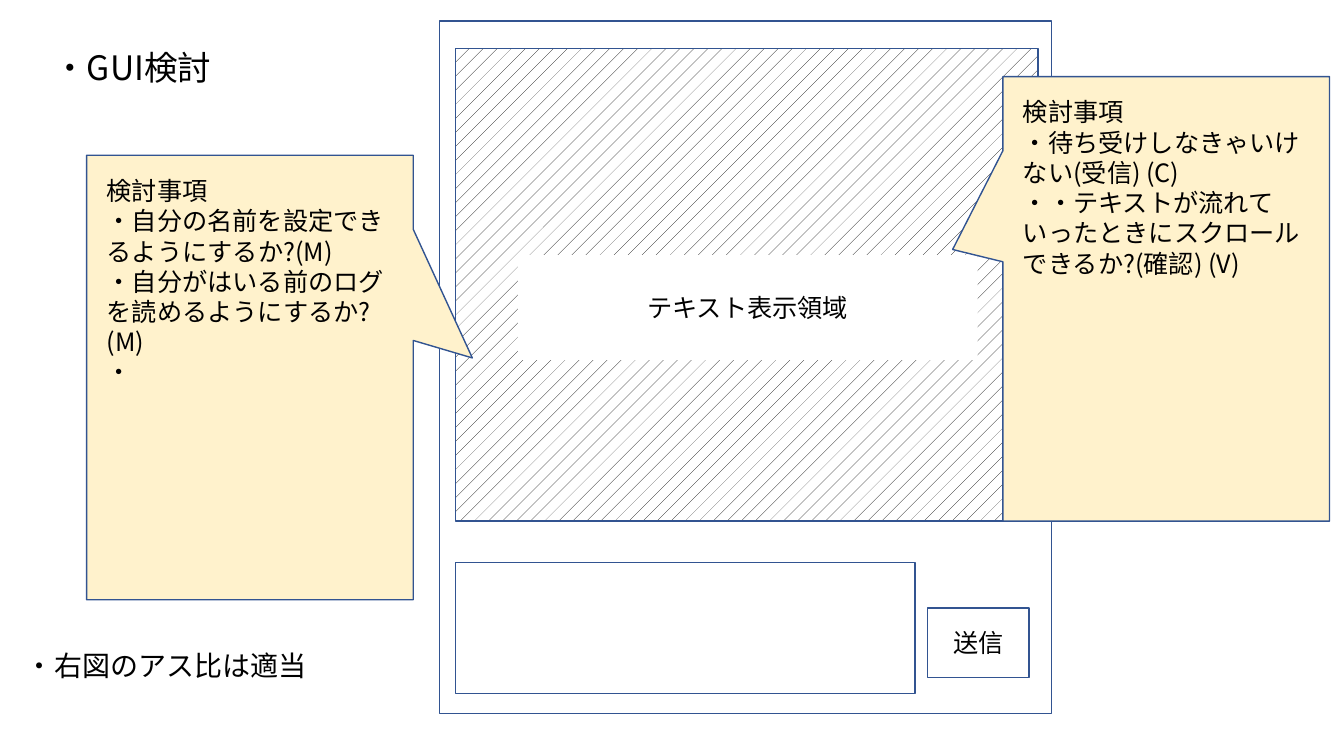
from lxml import etree
from pptx import Presentation
from pptx.dml.color import RGBColor
from pptx.enum.dml import MSO_PATTERN
from pptx.enum.shapes import MSO_SHAPE
from pptx.enum.text import MSO_ANCHOR, MSO_AUTO_SIZE, PP_ALIGN
from pptx.oxml.ns import qn
from pptx.util import Pt

BLACK = RGBColor(0x00, 0x00, 0x00)
WHITE = RGBColor(0xFF, 0xFF, 0xFF)
CREAM = RGBColor(0xFF, 0xF2, 0xCC)
BLUE = RGBColor(0x32, 0x54, 0x91)
RECT = MSO_SHAPE.RECTANGLE
CALLOUT = MSO_SHAPE.RECTANGULAR_CALLOUT
DOTS = MSO_PATTERN.PERCENT_5
MIDDLE = MSO_ANCHOR.MIDDLE
CENTER = PP_ALIGN.CENTER
GROW = MSO_AUTO_SIZE.SHAPE_TO_FIT_TEXT
FONT = "Noto Sans CJK JP"


def write(tf, lines, size, align=None):
    """Fill a text frame with one paragraph per line."""
    tf.word_wrap = True
    for i, line in enumerate(lines):
        p = tf.paragraphs[0] if i == 0 else tf.add_paragraph()
        p.alignment = align
        r = p.add_run()
        r.text = line
        for name, value in {"name": FONT, "size": Pt(size)}.items():
            setattr(r.font, name, value)
        r.font.color.rgb = BLACK
        ea = etree.SubElement(r.font._element, qn("a:ea"))
        ea.set("typeface", FONT)


def add_text(s, box, lines, size=18):
    """Add a text box that grows with its text."""
    tf = s.shapes.add_textbox(*map(Pt, box)).text_frame
    write(tf, lines, size)
    tf.auto_size = GROW


def add_box(s, box, text=None, fill=WHITE, line=BLUE, kind=RECT):
    """Add a filled shape with an optional centred label."""
    sp = s.shapes.add_shape(kind, *map(Pt, box))
    sp.shadow.inherit = False
    sp.fill.solid()
    sp.fill.fore_color.rgb = fill
    if line is None:
        sp.line.fill.background()
    else:
        sp.line.color.rgb = line
        sp.line.width = Pt(1)
    if text:
        sp.text_frame.vertical_anchor = MIDDLE
        write(sp.text_frame, [text], 18, CENTER)
    return sp


def add_display(s, box):
    """Add the patterned text display area."""
    fill = add_box(s, box).fill
    fill.patterned()
    fill.pattern = DOTS
    fill.fore_color.rgb = BLACK
    fill.back_color.rgb = WHITE


def add_note(s, left, top, tip, items):
    """Add a callout whose tip is given as a share of its size."""
    sp = add_box(s, (left, top, 233.3, 317.5), fill=CREAM, kind=CALLOUT)
    for i, value in enumerate(tip):
        sp.adjustments[i] = value
    add_text(s, (left + 7.2, top + 10.8, 220.3, 159.8), ["検討事項", *items])


def main():
    """Build the GUI study slide."""
    prs = Presentation()
    prs.slide_width, prs.slide_height = Pt(960), Pt(540)
    s = prs.slides.add_slide(prs.slide_layouts[6])

    add_text(s, (31, 30.2, 720, 36), ["・GUI検討"], 24)
    add_text(s, (11.5, 459.4, 720, 31.7), ["・右図のアス比は適当"], 20)

    add_box(s, (314, 15.1, 437, 494.6))
    add_box(s, (325.4, 401.8, 328.3, 93.6))
    add_box(s, (662.4, 434.2, 72.7, 49.7), "送信")
    add_display(s, (325.4, 34.6, 416.2, 337.7))
    add_box(s, (370, 182.2, 328.3, 74.9), "テキスト表示領域", line=None)

    add_note(s, 716.4, 54.7, (-0.654, -0.111), [
        "・待ち受けしなきゃいけない(受信) (C)",
        "・・テキストが流れていったときにスクロールできるか?(確認) (V)".replace("?", "?"),
    ])
    add_note(s, 61.9, 110.9, (0.681, -0.044), [
        "・自分の名前を設定できるようにするか?(M)",
        "・自分がはいる前のログを読めるようにするか?(M)",
        "・",
    ])
    prs.save("out.pptx")


main()
